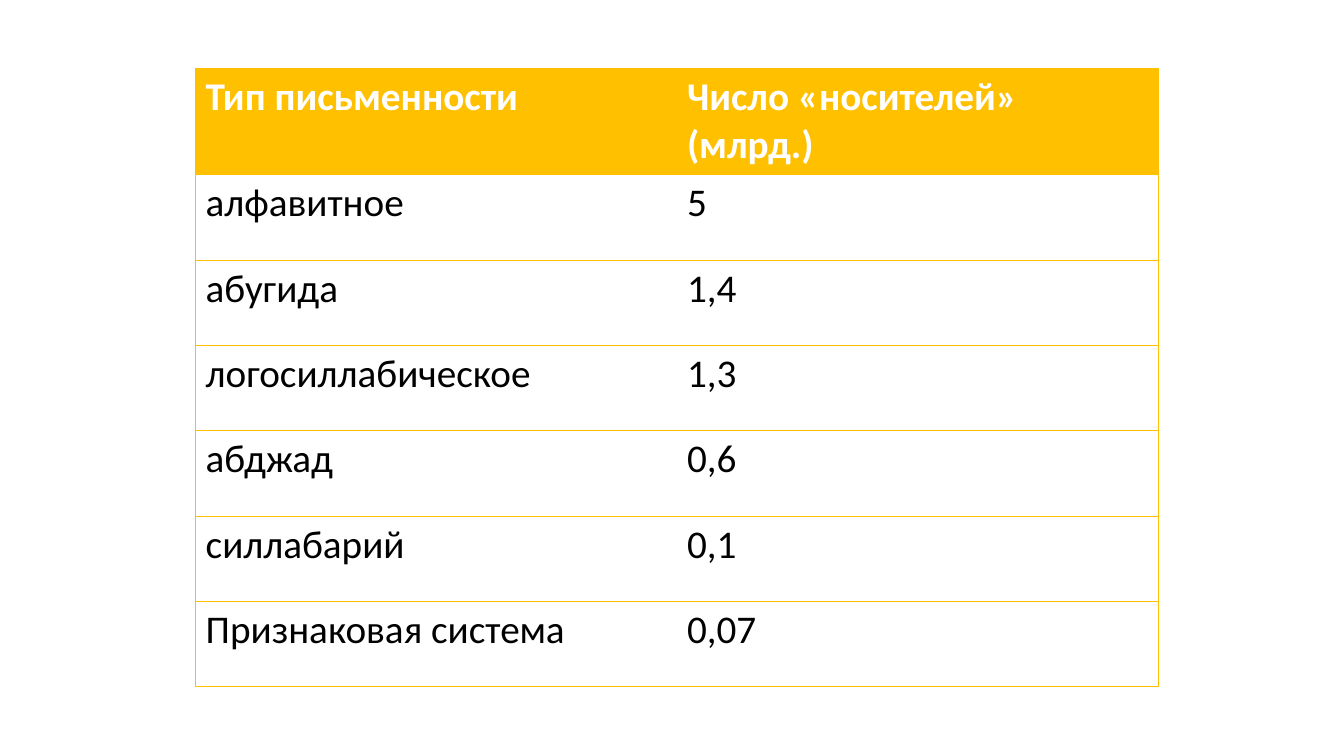
from lxml.etree import SubElement
from pptx import Presentation
from pptx.dml.color import RGBColor
from pptx.oxml.ns import qn
from pptx.util import Cm, Pt

COLORS = {"gold": "FFC000", "white": "FFFFFF", "black": "000000"}
ROWS = [
    ("Тип письменности", "Число «носителей» (млрд.)"),
    ("алфавитное", "5"),
    ("абугида", "1,4"),
    ("логосиллабическое", "1,3"),
    ("абджад", "0,6"),
    ("силлабарий", "0,1"),
    ("Признаковая система", "0,07"),
]


class Deck:
    font = "Calibri"
    size = Pt(28)
    line = Pt(0.5)

    def __init__(self):
        self.prs = Presentation()
        self.prs.slide_width = Cm(33.87)
        self.prs.slide_height = Cm(19.05)
        self.slide = self.prs.slides.add_slide(self.prs.slide_layouts[6])

    def color(self, name):
        return RGBColor.from_string(COLORS[name])

    def border(self, cell, sides):
        props = cell._tc.get_or_add_tcPr()
        fill = props[0]
        for side in "LRTB":
            edge = SubElement(props, qn("a:ln" + side), w=str(self.line))
            if side in sides:
                paint = SubElement(edge, qn("a:solidFill"))
                SubElement(paint, qn("a:srgbClr"), val=COLORS["gold"])
            else:
                SubElement(edge, qn("a:noFill"))
        props.append(fill)

    def cell(self, cell, text, head, sides):
        cell.text_frame.text = text
        font = cell.text_frame.paragraphs[0].runs[0].font
        font.name, font.size, font.bold = self.font, self.size, head
        font.color.rgb = self.color("white" if head else "black")
        if head:
            cell.fill.solid()
            cell.fill.fore_color.rgb = self.color("gold")
        else:
            cell.fill.background()
        self.border(cell, sides)

    def table(self, rows, left, top, width, height, first, other):
        frame = self.slide.shapes.add_table(
            len(rows), len(rows[0]), left, top, width, height)
        table = frame.table
        table.first_row = True
        table.horz_banding = False
        for r, texts in enumerate(rows):
            table.rows[r].height = other if r else first
            for c, text in enumerate(texts):
                sides = "RTB" if c else "LTB"
                self.cell(table.cell(r, c), text, r == 0, sides)
        frame.height = height


deck = Deck()
deck.table(ROWS, Cm(4.93), Cm(1.73), Cm(24.26), Cm(15.52), Cm(2.1), Cm(2.15))
deck.prs.save("out.pptx")
